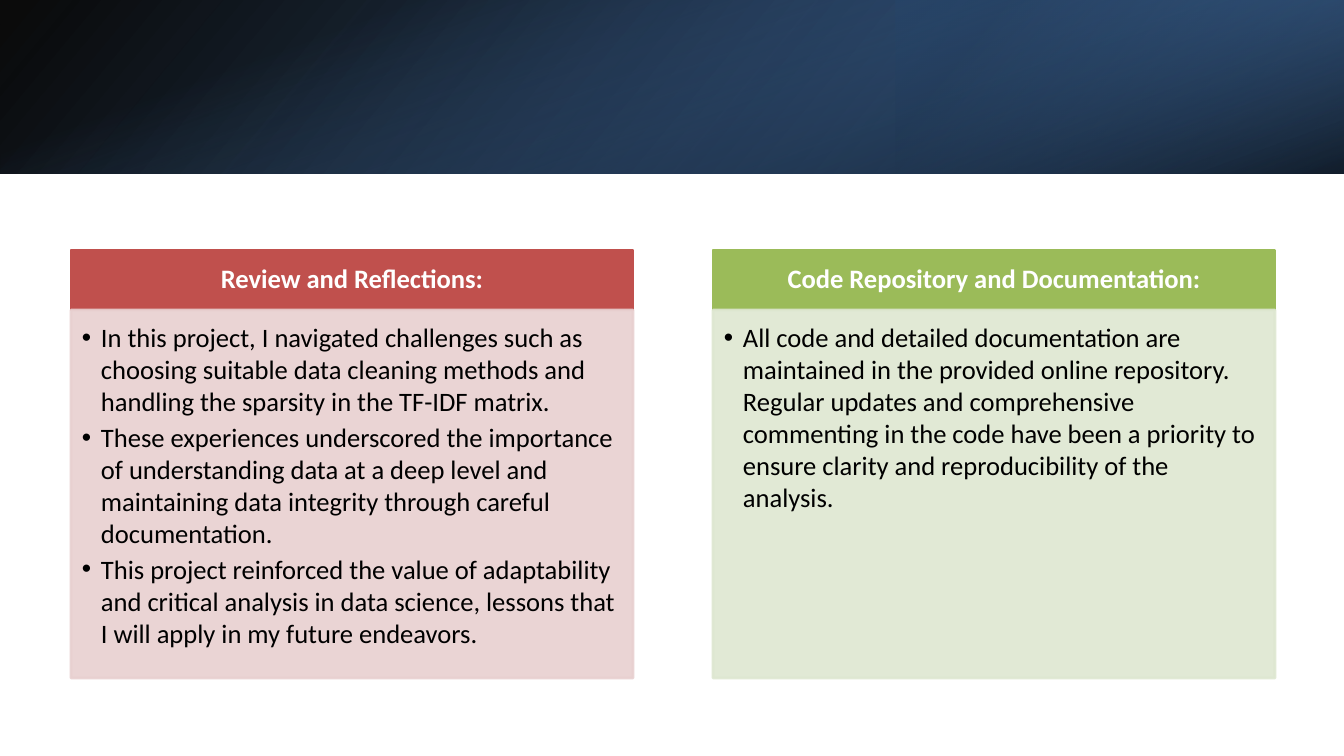
from lxml import etree
from pptx import Presentation
from pptx.dml.color import RGBColor
from pptx.enum.shapes import MSO_SHAPE
from pptx.enum.text import MSO_ANCHOR as ANCHOR, PP_ALIGN as ALIGN
from pptx.oxml import parse_xml
from pptx.oxml.ns import nsdecls, qn
from pptx.util import Pt

PX = 9071.43  # EMU per pixel
WIDE, HIGH = 1344, 756
BAND = 174


def px(n):
    return round(n * PX)


def paint(fill, color, alpha=100):
    """Fill with a solid hex colour; alpha is a percentage."""
    fill.solid()
    fill.fore_color.rgb = RGBColor.from_string(color)
    if alpha < 100:
        tone = fill._xPr.find(".//" + qn("a:srgbClr"))
        etree.SubElement(tone, qn("a:alpha"), val=str(alpha * 1000))


prs = Presentation()
prs.slide_width, prs.slide_height = px(WIDE), px(HIGH)
shapes = prs.slides.add_slide(prs.slide_layouts[6]).shapes

# Header band: three layered gradients (box, turn, flip, angle, stops)
mid = (WIDE - BAND) // 2
layers = [
    ((0, 0, WIDE, BAND), 0, True, 140,
     [(0, "000000", 96), (100, "376092", 100)]),
    ((896, 0, 448, BAND), 180, True, 320,
     [(19, "254061", 68), (100, "4F81BD", 79)]),
    ((mid, -mid, BAND, WIDE), 90, False, 340,
     [(23, "4F81BD", 0), (99, "000000", 74)]),
]
for box, turn, flip, angle, stops in layers:
    layer = shapes.add_shape(MSO_SHAPE.RECTANGLE, *map(px, box))
    layer.shadow.inherit = False
    layer.line.fill.background()
    layer.rotation = turn
    props = layer._element.spPr
    if flip:
        props.find(qn("a:xfrm")).set("flipH", "1")
    marks = "".join(
        f'<a:gs pos="{pos * 1000}"><a:srgbClr val="{color}">'
        f'<a:alpha val="{alpha * 1000}"/></a:srgbClr></a:gs>'
        for pos, color, alpha in stops)
    props.insert(2, parse_xml(
        f'<a:gradFill {nsdecls("a")} rotWithShape="1"><a:gsLst>{marks}</a:gsLst>'
        f'<a:lin ang="{angle * 60000}" scaled="0"/></a:gradFill>'))

# Two cards, each a heading above a bulleted body
cards = [
    ("Review and Reflections:", "C0504D", "E8D0D0", [
        "In this project, I navigated challenges such as choosing suitable data "
        "cleaning methods and handling the sparsity in the TF-IDF matrix.",
        "These experiences underscored the importance of understanding data at a "
        "deep level and maintaining data integrity through careful documentation.",
        "This project reinforced the value of adaptability and critical analysis "
        "in data science, lessons that I will apply in my future endeavors.",
    ]),
    ("Code Repository and Documentation:", "9BBB59", "DEE7D1", [
        "All code and detailed documentation are maintained in the provided "
        "online repository. Regular updates and comprehensive commenting in the "
        "code have been a priority to ensure clarity and reproducibility of the "
        "analysis.",
    ]),
]
for col, (title, dark, light, points) in enumerate(cards):
    parts = [
        (250, 60, dark, 100, [title], True, (15, 8, 15, 8)),
        (310, 368, light, 90, points, False, (11, 11, 15, 17)),
    ]
    for top, high, color, alpha, texts, head, pads in parts:
        card = shapes.add_shape(MSO_SHAPE.RECTANGLE, px(71 + col * 642), px(top),
                                px(562), px(high))
        card.shadow.inherit = False
        paint(card.fill, color, alpha)
        paint(card.line.fill, color, alpha)
        card.line.width = Pt(2)
        frame = card.text_frame
        frame.word_wrap = True
        frame.vertical_anchor = ANCHOR.MIDDLE if head else ANCHOR.TOP
        (frame.margin_left, frame.margin_top,
         frame.margin_right, frame.margin_bottom) = map(px, pads)
        for i, text in enumerate(texts):
            para = frame.add_paragraph() if i else frame.paragraphs[0]
            para.alignment = ALIGN.CENTER if head else ALIGN.LEFT
            if head:
                para.line_spacing = 0.9
            else:
                para.space_after = Pt(3)
                props = para._p.get_or_add_pPr()
                props.set("marL", str(px(19)))
                props.set("indent", str(px(-19)))
                etree.SubElement(props, qn("a:buFont"), typeface="Arial")
                etree.SubElement(props, qn("a:buChar"), char="•")
            run = para.add_run()
            run.text = text
            run.font.name = "Calibri"
            run.font.size = Pt(19)
            run.font.bold = head
            paint(run.font.fill, "FFFFFF" if head else "000000")

prs.save("out.pptx")
